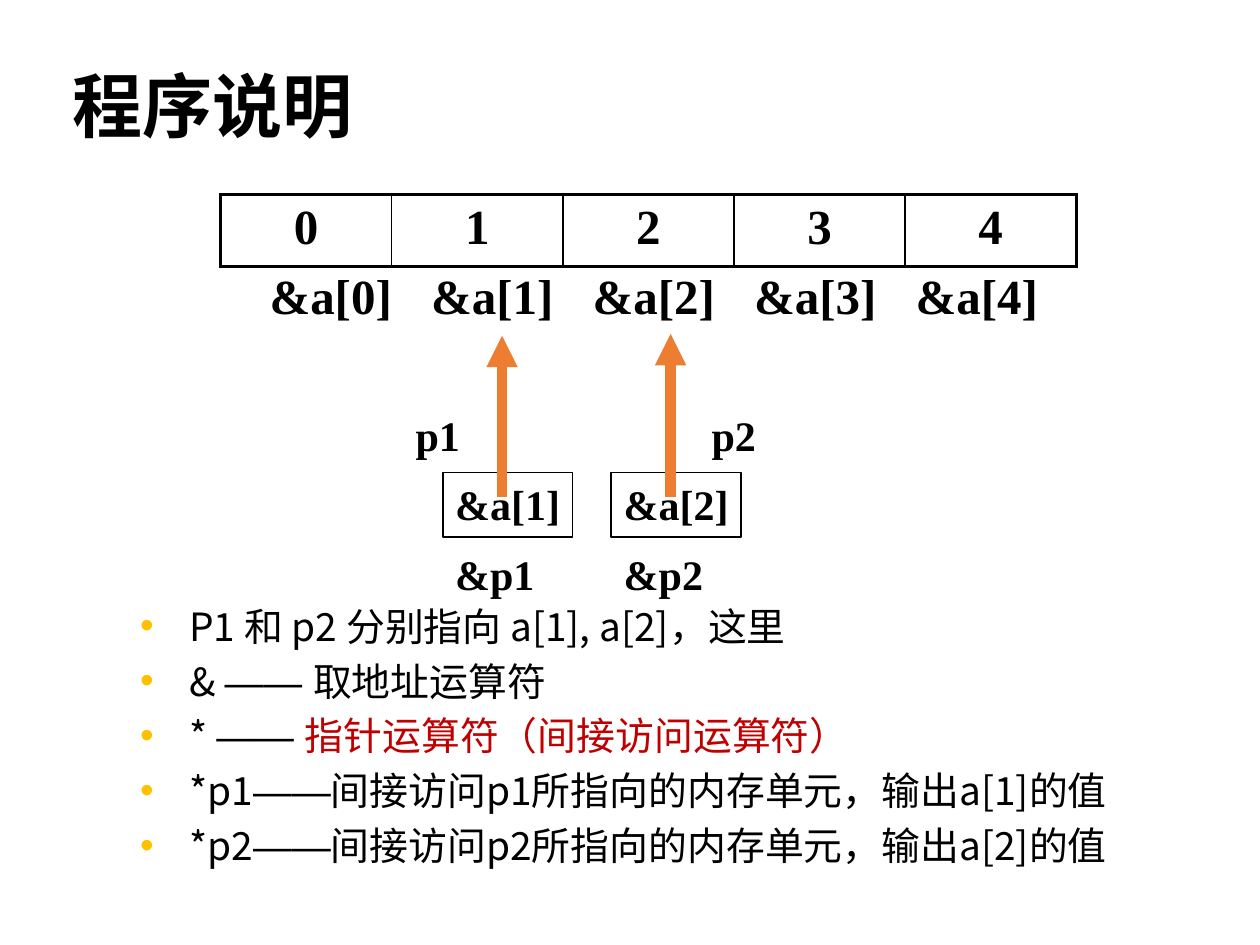
from dataclasses import dataclass
from lxml.etree import SubElement
from pptx import Presentation
from pptx.dml.color import RGBColor
from pptx.enum.shapes import MSO_CONNECTOR, MSO_SHAPE
from pptx.enum.text import MSO_ANCHOR, PP_ALIGN
from pptx.oxml.ns import qn
from pptx.util import Pt


@dataclass(frozen=True)
class Theme:
    ink: str = "000000"
    red: str = "C00000"
    bullet: str = "FFC000"
    arrow: str = "ED7D31"
    head: str = "Calibri"
    cjk: str = "Noto Sans CJK SC"
    dash: str = "Arial"
    serif: str = "Times New Roman"
    title_size: int = 40
    cell_size: int = 28
    label_size: int = 24
    body_size: float = 22.2


T = Theme()
TITLE = "程序说明"
VALUES = ["0", "1", "2", "3", "4"]
ADDRESSES = [f"&a[{v}]" for v in VALUES]
POINTERS = [
    {"name": "p1", "target": "&a[1]", "x": 253, "name_x": 230.4, "tip_y": 191.8},
    {"name": "p2", "target": "&a[2]", "x": 349.3, "name_x": 399.6, "tip_y": 190.8},
]
DASH = ("——", T.dash, T.ink)
DASH_GAP = ("—— ", T.dash, T.ink)
BULLETS = [
    [("P1 和 p2 分别指向 a[1], a[2]，这里", T.cjk, T.ink)],
    [("& ", T.cjk, T.ink), DASH_GAP, ("取地址运算符", T.cjk, T.ink)],
    [("* ", T.cjk, T.ink), DASH_GAP, ("指针运算符（间接访问运算符）", T.cjk, T.red)],
    [("*p1", T.cjk, T.ink), DASH, ("间接访问p1所指向的内存单元，输出a[1]的值", T.cjk, T.ink)],
    [("*p2", T.cjk, T.ink), DASH, ("间接访问p2所指向的内存单元，输出a[2]的值", T.cjk, T.ink)],
]
BOX_W, BOX_H = 74.2, 36.7
NAME_Y, BOX_Y, ADDRESS_Y, TAIL_Y = 230.4, 270, 309.6, 284.2


def add_text(p, text, size, font=T.serif, ea=None, color=T.ink, bold=True):
    r = p.add_run()
    r.text = text
    r.font.size = Pt(size)
    r.font.bold = bold
    r.font.name = font
    r.font.color.rgb = RGBColor.from_string(color)
    SubElement(r.font._element, qn("a:ea"), typeface=ea or font)


def add_box(s, x, y, w, h, anchor=MSO_ANCHOR.TOP):
    tf = s.shapes.add_textbox(Pt(x), Pt(y), Pt(w), Pt(h)).text_frame
    tf.word_wrap = True
    tf.vertical_anchor = anchor
    return tf


def add_label(s, text, x, y):
    tf = add_box(s, x, y, BOX_W, BOX_H)
    tf.margin_right = 0
    add_text(tf.paragraphs[0], text, T.label_size)


def add_bullet(p):
    pPr = p._p.get_or_add_pPr()
    pPr.set("marL", str(Pt(28.2)))
    pPr.set("indent", str(-Pt(28.2)))
    SubElement(SubElement(pPr, qn("a:buClr")), qn("a:srgbClr"), val=T.bullet)
    SubElement(pPr, qn("a:buFont"), typeface="Arial")
    SubElement(pPr, qn("a:buChar"), char="•")


def set_border(cell, side, width):
    tcPr = cell._tc.get_or_add_tcPr()
    ln = SubElement(tcPr, qn(f"a:ln{side}"), w=str(Pt(width)))
    if width:
        SubElement(SubElement(ln, qn("a:solidFill")), qn("a:srgbClr"), val=T.ink)
    else:
        SubElement(ln, qn("a:noFill"))


def add_row(s, texts, x, y, w, h, outer, inner):
    table = s.shapes.add_table(1, len(texts), Pt(x), Pt(y), Pt(w), Pt(h)).table
    table.first_row = table.horz_banding = False
    last = len(texts) - 1
    for i, text in enumerate(texts):
        cell = table.cell(0, i)
        widths = {"L": inner if i else outer, "R": inner if i < last else outer,
                  "T": outer, "B": outer}
        for side, width in widths.items():
            set_border(cell, side, width)
        cell.fill.background()
        p = cell.text_frame.paragraphs[0]
        p.alignment = PP_ALIGN.CENTER
        add_text(p, text, T.cell_size)


def add_pointer(s, name, target, x, name_x, tip_y):
    box = s.shapes.add_shape(MSO_SHAPE.RECTANGLE, Pt(x), Pt(BOX_Y), Pt(BOX_W), Pt(BOX_H))
    box.shadow.inherit = False
    box.fill.background()
    box.line.color.rgb = RGBColor.from_string(T.ink)
    box.line.width = Pt(1)
    tf = box.text_frame
    tf.word_wrap = True
    tf.margin_right = 0
    tf.vertical_anchor = MSO_ANCHOR.TOP
    tf.paragraphs[0].alignment = PP_ALIGN.LEFT
    add_text(tf.paragraphs[0], target, T.label_size)

    mid = Pt(x + BOX_W / 2 - 3.2)
    arrow = s.shapes.add_connector(MSO_CONNECTOR.STRAIGHT, mid, Pt(TAIL_Y), mid, Pt(tip_y))
    arrow.line.color.rgb = RGBColor.from_string(T.arrow)
    arrow.line.width = Pt(6)
    SubElement(arrow.line._get_or_add_ln(), qn("a:tailEnd"), type="triangle")
    SubElement(arrow._element.spPr, qn("a:effectLst"))

    add_label(s, f"&{name}", x, ADDRESS_Y)
    add_label(s, name, name_x, NAME_Y)


def main():
    prs = Presentation()
    prs.slide_width, prs.slide_height = Pt(720), Pt(540)
    s = prs.slides.add_slide(prs.slide_layouts[6])

    p = add_box(s, 34.3, 33.8, 652.3, 54, MSO_ANCHOR.BOTTOM).paragraphs[0]
    p.line_spacing = 0.9
    add_text(p, TITLE, T.title_size, T.head, T.cjk)

    tf = add_box(s, 73, 345.9, 595.4, 172.8)
    for i, runs in enumerate(BULLETS):
        p = tf.add_paragraph() if i else tf.paragraphs[0]
        p.line_spacing = 0.8
        p.space_before = Pt(10)
        add_bullet(p)
        for text, font, color in runs:
            add_text(p, text, T.body_size, font, color=color, bold=False)

    for pointer in POINTERS:
        add_pointer(s, **pointer)
    add_row(s, VALUES, 126, 111.2, 489, 41, outer=2.25, inner=1)
    add_row(s, ADDRESSES, 142.8, 151.2, 461.5, 41, outer=0, inner=0)
    prs.save("out.pptx")


if __name__ == "__main__":
    main()
